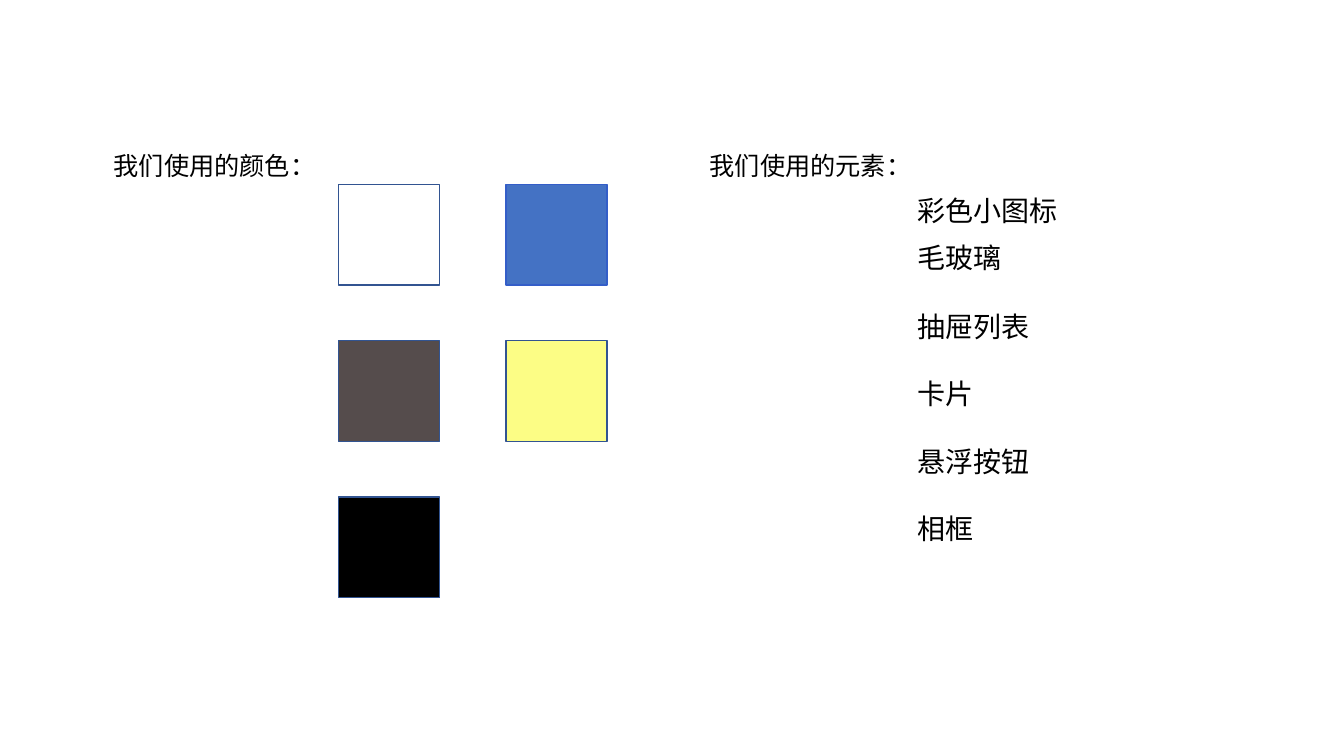
from dataclasses import dataclass

from lxml.etree import SubElement
from pptx import Presentation
from pptx.dml.color import RGBColor
from pptx.enum.shapes import MSO_SHAPE
from pptx.enum.text import MSO_AUTO_SIZE
from pptx.oxml.ns import qn
from pptx.util import Inches, Pt


@dataclass(frozen=True)
class Theme:
    font: str = "Noto Sans CJK SC"
    ink: str = "000000"
    white: str = "FFFFFF"
    blue: str = "4472C4"
    gray: str = "554C4C"
    yellow: str = "FCFD85"
    outline: str = "325491"
    blue_outline: str = "345EC8"
    heading_size: float = 18
    heading_line: float = 22.6
    item_size: float = 20
    item_line: float = 24


THEME = Theme()
SWATCH_SIZE = 1
SWATCH_LEFT, SWATCH_TOP = 3.36, 1.83
COLUMN_STEP, ROW_STEP = 1.66, 1.55
ITEM_INDENT = 2.06

SWATCHES = [
    (1, 0, THEME.blue, THEME.blue_outline),
    (0, 0, THEME.white, THEME.outline),
    (0, 1, THEME.gray, THEME.outline),
    (1, 1, THEME.yellow, THEME.outline),
    (0, 2, THEME.ink, THEME.outline),
]
ELEMENTS = [
    ("彩色小图标", 9),
    ("毛玻璃", 9.6),
    ("抽屉列表", 25),
    ("卡片", 24.2),
    ("悬浮按钮", 24.2),
    ("相框", 24.2),
]


def add_text_box(page, left, top, width, height):
    box = page.shapes.add_textbox(Inches(left), Inches(top), Inches(width), Inches(height))
    box.text_frame.word_wrap = True
    box.text_frame.auto_size = MSO_AUTO_SIZE.SHAPE_TO_FIT_TEXT
    return box.text_frame


def write_line(para, text, size, line):
    para.line_spacing = Pt(line)
    span = para.add_run()
    span.text = text
    span.font.size = Pt(size)
    span.font.name = THEME.font
    span.font.color.rgb = RGBColor.from_string(THEME.ink)
    SubElement(span.font._element, qn("a:ea"), typeface=THEME.font)


def write_heading(frame, text):
    write_line(frame.paragraphs[0], text, THEME.heading_size, THEME.heading_line)


def add_item(frame, text, gap):
    para = frame.add_paragraph()
    para.space_before = Pt(gap)
    properties = para._p.get_or_add_pPr()
    properties.set("marL", str(Inches(ITEM_INDENT)))
    properties.set("indent", "0")
    write_line(para, text, THEME.item_size, THEME.item_line)


def add_swatch(page, column, row, fill, outline):
    swatch = page.shapes.add_shape(
        MSO_SHAPE.RECTANGLE,
        Inches(SWATCH_LEFT + column * COLUMN_STEP),
        Inches(SWATCH_TOP + row * ROW_STEP),
        Inches(SWATCH_SIZE),
        Inches(SWATCH_SIZE),
    )
    swatch.shadow.inherit = False
    swatch.fill.solid()
    swatch.fill.fore_color.rgb = RGBColor.from_string(fill)
    swatch.line.color.rgb = RGBColor.from_string(outline)
    swatch.line.width = Pt(1)


def main():
    deck = Presentation()
    deck.slide_width = Inches(13.33)
    deck.slide_height = Inches(7.5)
    page = deck.slides.add_slide(deck.slide_layouts[6])

    write_heading(add_text_box(page, 1.03, 1.43, 10.2, 0.4), "我们使用的颜色：")
    for column, row, fill, outline in SWATCHES:
        add_swatch(page, column, row, fill, outline)

    elements = add_text_box(page, 6.94, 1.43, 10.2, 4.04)
    write_heading(elements, "我们使用的元素：")
    for text, gap in ELEMENTS:
        add_item(elements, text, gap)

    deck.save("out.pptx")


if __name__ == "__main__":
    main()
